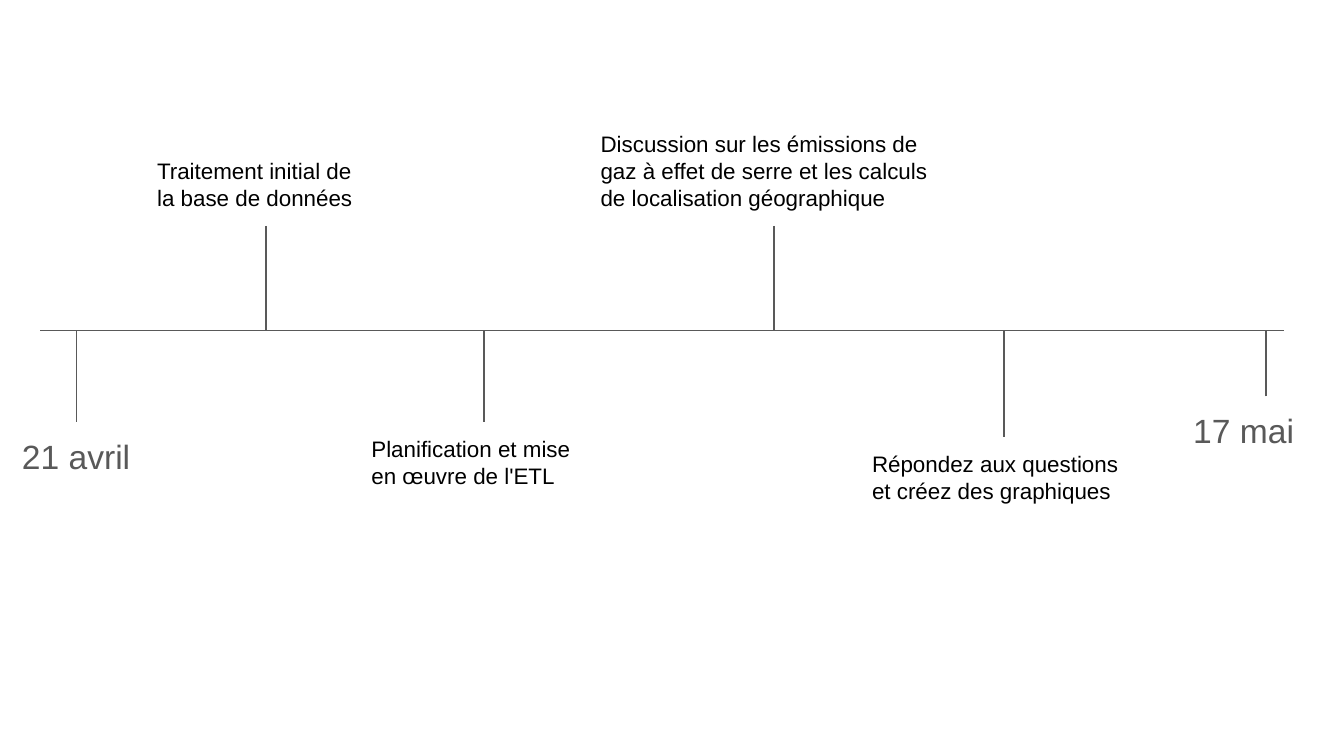
"""Build a project timeline slide with milestones above and below an axis."""
from lxml import etree
from pptx import Presentation
from pptx.dml.color import RGBColor
from pptx.enum.shapes import MSO_CONNECTOR
from pptx.enum.text import MSO_ANCHOR
from pptx.oxml.ns import qn
from pptx.util import Inches, Pt

STRAIGHT = MSO_CONNECTOR.STRAIGHT
TOP = MSO_ANCHOR.TOP
GREY = RGBColor(0x59, 0x59, 0x59)
BLACK = RGBColor(0, 0, 0)
FONT = "Arial"
SLIDE_WIDTH = 10
SLIDE_HEIGHT = SLIDE_WIDTH * 9 / 16
AXIS_LEFT, AXIS_RIGHT, AXIS_Y = 0.3, 9.55, 2.46
INSET = 0.1
TOP_SIDE, BOTTOM_SIDE = 0, 2

STYLES = {"date": (18, GREY), "step": (12, BLACK)}

# text, style, centre on the axis, width, height, stem length (negative is above)
MILESTONES = [
    ("21 avril", "date", 0.57, 1.01, 0.5, 0.68),
    ("Traitement initial de la base de données", "step", 1.98, 1.82, 0.61, -0.78),
    ("Planification et mise en œuvre de l'ETL", "step", 3.6, 1.87, 0.61, 0.68),
    ("Discussion sur les émissions de gaz à effet de serre et les calculs "
     "de localisation géographique", "step", 5.76, 2.78, 0.81, -0.78),
    ("Répondez aux questions et créez des graphiques", "step", 7.47, 2.16, 0.61, 0.79),
    ("17 mai", "date", 9.42, 1.28, 0.5, 0.49),
]


def add_line(slide, x1, y1, x2, y2):
    line = slide.shapes.add_connector(
        STRAIGHT, Inches(x1), Inches(y1), Inches(x2), Inches(y2))
    line.line.color.rgb = GREY
    line.line.width = Pt(0.75)
    etree.SubElement(line._element.spPr, qn("a:effectLst"))
    return line


def add_label(slide, text, style, left, top, width, height):
    label = slide.shapes.add_textbox(
        Inches(left), Inches(top), Inches(width), Inches(height))
    frame = label.text_frame
    frame.word_wrap = True
    frame.vertical_anchor = TOP
    frame.margin_left = frame.margin_right = Inches(INSET)
    frame.margin_top = frame.margin_bottom = Inches(INSET)
    frame.text = text
    font = frame.paragraphs[0].runs[0].font
    size, font.color.rgb = STYLES[style]
    font.size = Pt(size)
    font.name = FONT
    return label


def add_milestone(slide, text, style, centre, width, height, stem_length):
    above = stem_length < 0
    stem_end = AXIS_Y + stem_length
    top = stem_end - height if above else stem_end
    label = add_label(slide, text, style, centre - width / 2, top, width, height)
    stem = add_line(slide, centre, stem_end, centre, AXIS_Y)
    stem.begin_connect(label, BOTTOM_SIDE if above else TOP_SIDE)
    stem.end_x = stem.begin_x


def main():
    presentation = Presentation()
    presentation.slide_width = Inches(SLIDE_WIDTH)
    presentation.slide_height = Inches(SLIDE_HEIGHT)
    slide = presentation.slides.add_slide(presentation.slide_layouts[6])
    add_line(slide, AXIS_LEFT, AXIS_Y, AXIS_RIGHT, AXIS_Y)
    for milestone in MILESTONES:
        add_milestone(slide, *milestone)
    presentation.save("out.pptx")


if __name__ == "__main__":
    main()
